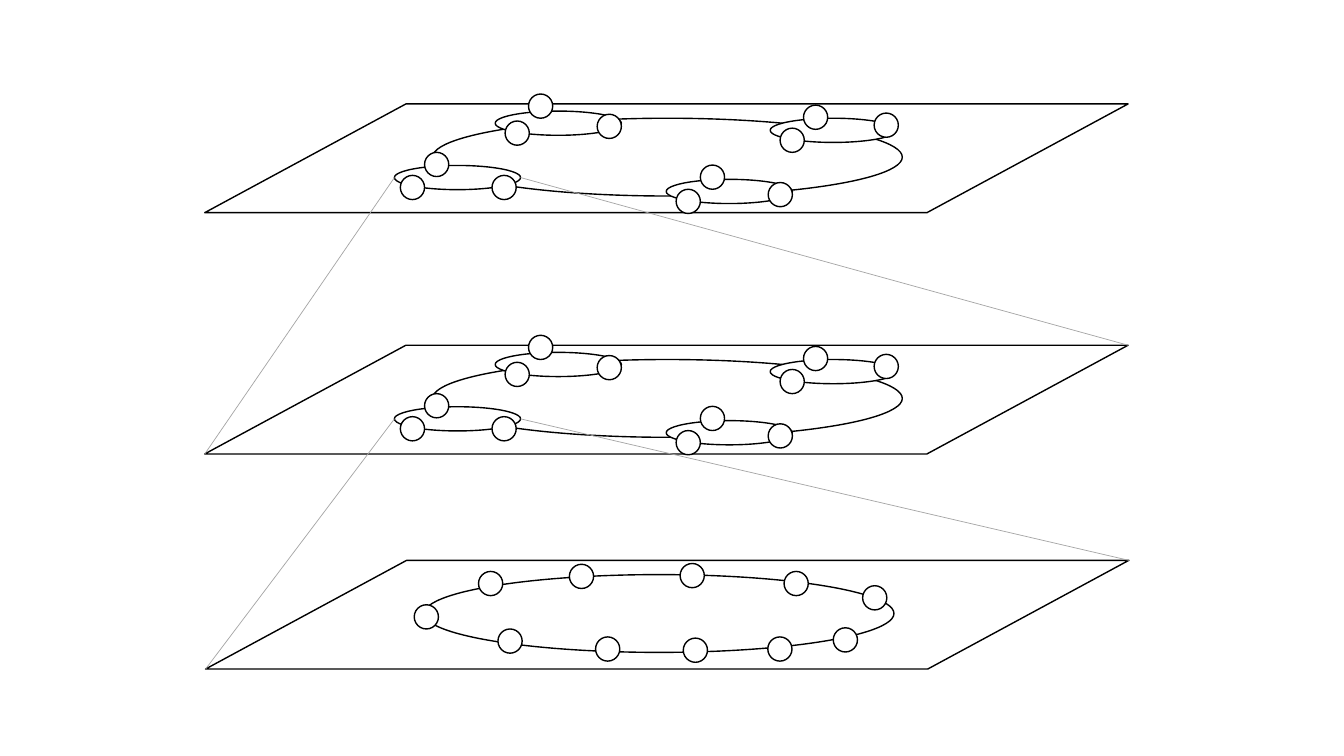
from pptx import Presentation
from pptx.dml.color import RGBColor
from pptx.enum import shapes as kinds
from pptx.oxml.ns import qn
from pptx.util import Cm, Pt
from lxml import etree

BLACK = RGBColor(0x00, 0x00, 0x00)
WHITE = RGBColor(0xFF, 0xFF, 0xFF)
GREY = RGBColor(0xA5, 0xA5, 0xA5)

# All lengths are in centimetres.
WIDE, HIGH = 23.27, 2.74      # plane
SLANT = 5.07                  # shift of its upper edge
RING = (11.84, 1.96)
GROUP = (3.18, 0.61)
NODE = (0.61, 0.61)

# Each group: its place on the plane, then its nodes from its own corner.
GROUPS = [
    ((4.78, 1.55), [(0.15, 0.25), (0.76, -0.33), (2.46, 0.25)]),
    ((14.25, 0.36), [(0.25, 0.25), (0.84, -0.33), (2.62, -0.13)]),
    ((7.32, 0.18), [(0.25, 0.25), (0.84, -0.43), (2.57, 0.08)]),
    ((11.63, 1.9), [(0.25, 0.25), (0.86, -0.36), (2.57, 0.08)]),
]
# Nodes of the lowest ring, from the corner of its plane.
NODES = [(9.17, 0.1), (6.88, 0.28), (11.96, 0.08), (14.58, 0.28),
         (16.56, 0.64), (15.82, 1.7), (14.17, 1.93), (12.04, 1.96),
         (9.83, 1.93), (7.37, 1.73), (5.26, 1.12)]


def outline(shape):
    shape.shadow.inherit = False
    shape.line.color.rgb = BLACK
    shape.line.width = Pt(1)


def oval(slide, x, y, size):
    shape = slide.shapes.add_shape(
        kinds.MSO_SHAPE.OVAL, Cm(x), Cm(y), *map(Cm, size))
    outline(shape)
    shape.fill.solid()
    shape.fill.fore_color.rgb = WHITE


def plane(slide, x, y):
    path = slide.shapes.build_freeform(Cm(x), Cm(y + HIGH))
    path.add_line_segments([
        (Cm(x + WIDE - SLANT), Cm(y + HIGH)),
        (Cm(x + WIDE), Cm(y)),
        (Cm(x + SLANT), Cm(y)),
    ], close=True)
    shape = path.convert_to_shape()
    outline(shape)
    shape.fill.background()


def nested(slide, x, y):
    """Plane with a ring that joins small groups of nodes."""
    plane(slide, x, y)
    oval(slide, x + 5.74, y + 0.36, RING)
    for (left, top), nodes in GROUPS:
        oval(slide, x + left, y + top, GROUP)
        for dx, dy in nodes:
            oval(slide, x + left + dx, y + top + dy, NODE)


def single(slide, x, y):
    """Plane with one ring of nodes."""
    plane(slide, x, y)
    oval(slide, x + 5.51, y + 0.36, RING)
    for dx, dy in NODES:
        oval(slide, x + dx, y + dy, NODE)


def ray(slide, x1, y1, x2, y2):
    line = slide.shapes.add_connector(
        kinds.MSO_CONNECTOR.STRAIGHT, Cm(x1), Cm(y1), Cm(x2), Cm(y2))
    line.line.color.rgb = GREY
    line.line.width = Pt(0.5)
    etree.SubElement(line._element.spPr, qn("a:effectLst"))


def zoom(slide, upper, lower):
    """Rays from the first group of one plane to the corners of the next."""
    (x, y), (left, top) = upper, lower
    (dx, dy), _ = GROUPS[0]
    mid = y + dy + GROUP[1] / 2
    ray(slide, x + dx, mid, left, top + HIGH)
    ray(slide, x + dx + GROUP[0], mid, left + WIDE, top)


def main():
    deck = Presentation()
    deck.slide_width, deck.slide_height = Cm(33.87), Cm(19.05)
    slide = deck.slides.add_slide(deck.slide_layouts[6])
    first, second, third = (5.16, 2.62), (5.16, 8.7), (5.18, 14.12)
    single(slide, *third)
    nested(slide, *first)
    nested(slide, *second)
    zoom(slide, first, second)
    zoom(slide, second, third)
    deck.save("out.pptx")


if __name__ == "__main__":
    main()
